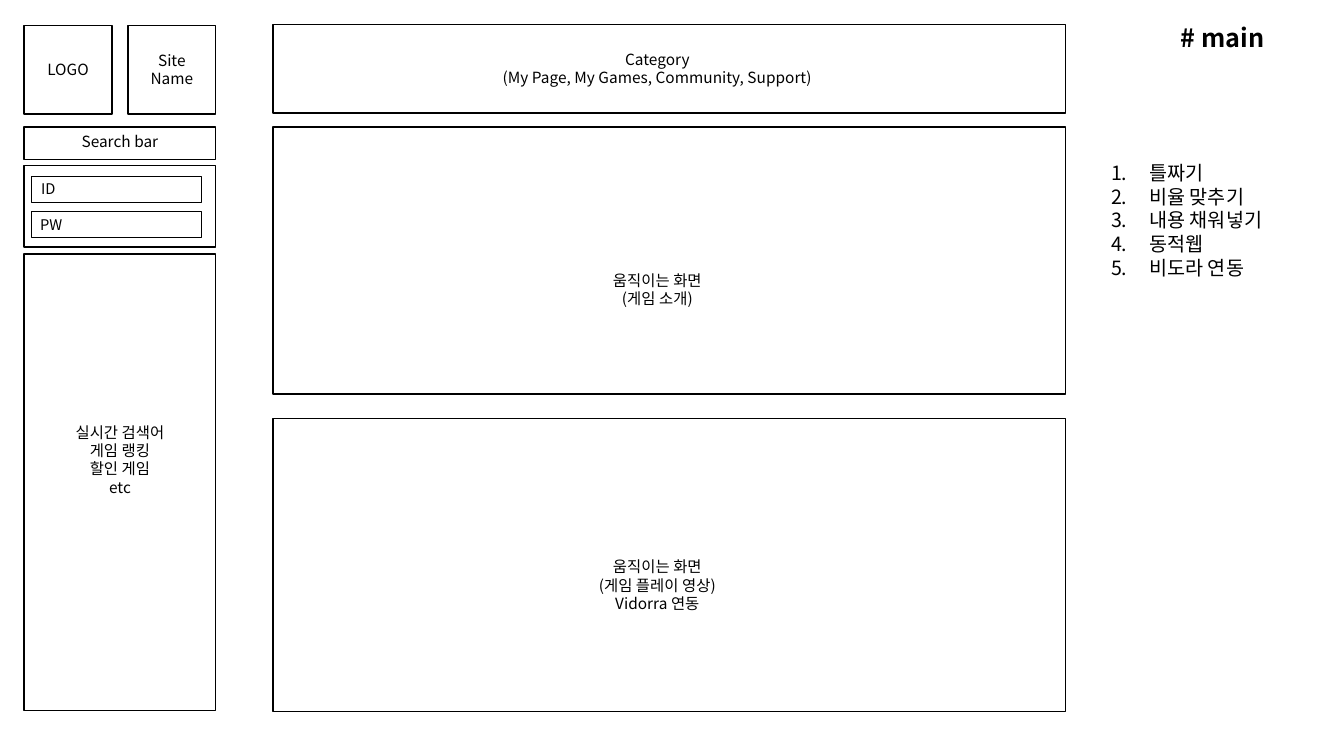
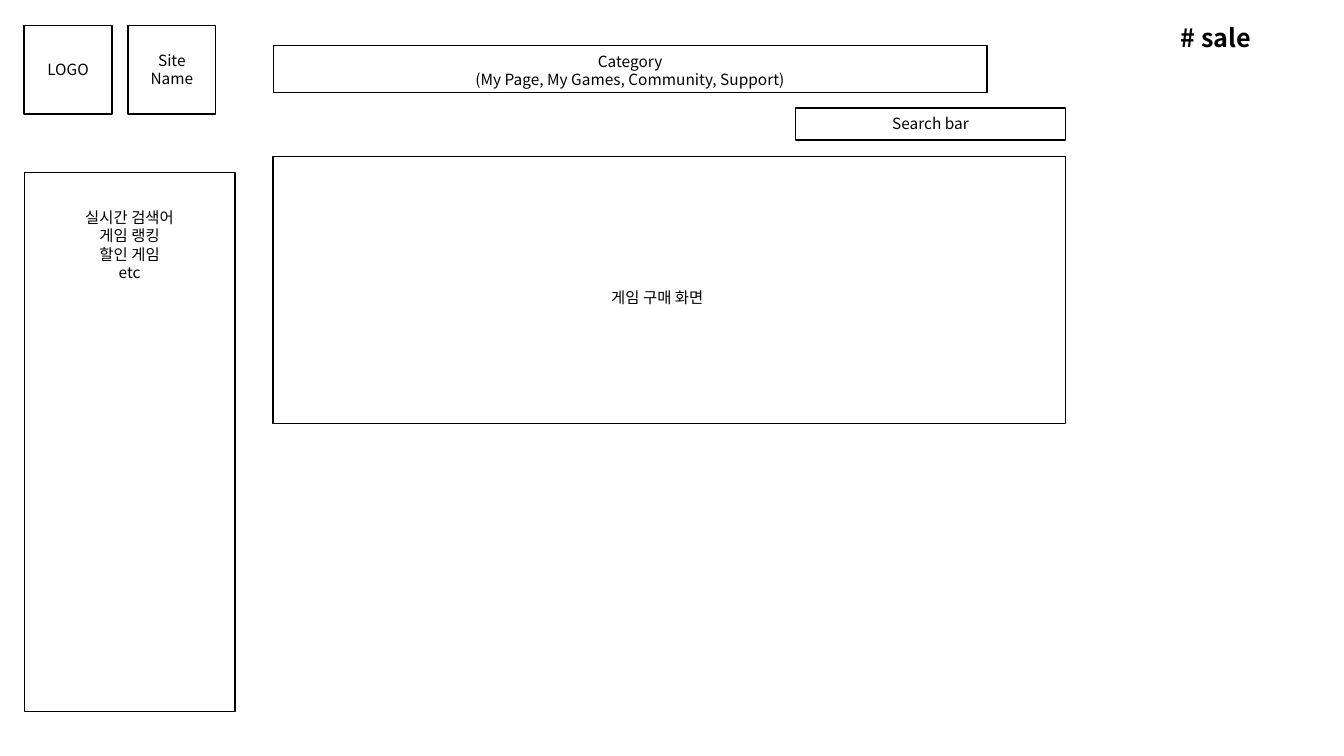
from pptx import Presentation
from pptx.dml.color import RGBColor
from pptx.enum.shapes import MSO_SHAPE as Shape
from pptx.enum.text import MSO_ANCHOR as Anchor, MSO_AUTO_SIZE as Fit, PP_ALIGN as Align
from pptx.oxml.ns import qn
from pptx.util import Emu, Pt
from lxml import etree

PX = 9144  # one hundred px to the inch
FONT = "Noto Sans CJK KR"
INK = "000000"
GAP, LINE = 10, 19  # label padding and line height
LEFT, MAIN, WIDE = 24, 271, 786
MENU = ["Category", "(My Page, My Games, Community, Support)"]
RANKS = ["실시간 검색어", "게임 랭킹", "할인 게임", "etc"]
STEPS = ["틀짜기", "비율 맞추기", "내용 채워넣기", "동적웹", "비도라 연동"]


def color(code):
    return RGBColor.from_string(code)


def apply(item, style):
    for name, value in style.items():
        setattr(item, name, value)


def place(shape, box):
    names = ("left", "top", "width", "height")
    apply(shape, {name: Emu(n * PX) for name, n in zip(names, box)})


def write(shape, lines, size, align=Align.LEFT, anchor=Anchor.TOP, bold=False):
    frame = shape.text_frame
    frame.text = "\n".join(lines)
    apply(frame, {"word_wrap": True, "auto_size": Fit.NONE,
                  "vertical_anchor": anchor})
    for para in frame.paragraphs:
        apply(para, {"alignment": align, "space_before": Pt(0),
                     "line_spacing": 1.0})
        for run in para.runs:
            apply(run.font, {"name": FONT, "size": Pt(size), "bold": bold})
            run.font.color.rgb = color(INK)
            east = etree.SubElement(run._r.get_or_add_rPr(), qn("a:ea"))
            east.set("typeface", FONT)


def frame(slide, box):
    rect = slide.shapes.add_shape(Shape.RECTANGLE, 0, 0, 0, 0)
    place(rect, box)
    rect.shadow.inherit = False
    rect.fill.background()
    rect.line.color.rgb = color(INK)
    rect.line.width = Pt(1)


def panel(slide, box, lines, dx=0, dy=0, size=11, align=Align.CENTER):
    """Frame with a label, shifted by dx and dy from the frame's centre."""
    frame(slide, box)
    x, y, w, h = box
    tall = GAP + LINE * len(lines)
    label = slide.shapes.add_textbox(0, 0, 0, 0)
    place(label, (x + dx, y + (h - tall) // 2 + dy, w, tall))
    write(label, lines, size, align, Anchor.MIDDLE)


def brand(slide, x, y, side=87, step=103):
    for i, name in enumerate(["LOGO", "Site Name"]):
        words = name.split()
        panel(slide, (x + i * step, y, side, side + 1), words)


def login(slide, box):
    frame(slide, box)
    x, y, w, h = box
    for i, name in enumerate(["ID", "PW"]):
        field = (x + 7, y + 11 + 35 * i, w - 21, 26)
        panel(slide, field, [name], dx=-i, size=10.5, align=Align.LEFT)


def steps(slide, box):
    body = slide.placeholders[1]
    place(body, box)
    write(body, STEPS, 14)
    for para in body.text_frame.paragraphs:
        props = para._p.get_or_add_pPr()
        props.set("marL", str(38 * PX))
        props.set("indent", str(-38 * PX))
        num = etree.SubElement(props, qn("a:buAutoNum"))
        num.set("type", "arabicPeriod")


def page(deck, layout, title):
    slide = deck.slides.add_slide(deck.slide_layouts.get_by_name(layout))
    place(slide.shapes.title, (1161, 17, 160, 40))
    write(slide.shapes.title, [title], 18, bold=True)
    brand(slide, LEFT, 25)
    return slide


def home(deck):
    slide = page(deck, "Title and Content", "# main")
    panel(slide, (MAIN, 24, WIDE, 88), MENU, dx=-12)
    panel(slide, (LEFT, 126, 190, 32), ["Search bar"], dy=-1)
    login(slide, (LEFT, 164, 190, 81))
    panel(slide, (LEFT, 252, 190, 453), RANKS, dy=-22)
    panel(slide, (MAIN, 126, WIDE, 265), ["움직이는 화면", "(게임 소개)"],
          dx=-12, dy=29)
    panel(slide, (MAIN, 415, WIDE, 291),
          ["움직이는 화면", "(게임 플레이 영상)", "Vidorra 연동"], dx=-12, dy=20)
    steps(slide, (1092, 155, 207, 128))


def sale(deck):
    slide = page(deck, "Title Only", "# sale")
    panel(slide, (MAIN, 45, 708, 47), MENU, dy=2)
    panel(slide, (789, 107, 268, 32), ["Search bar"])
    panel(slide, (LEFT, 171, 209, 535), RANKS, dy=-195)
    panel(slide, (MAIN, 155, WIDE, 265), ["게임 구매 화면"], dx=-12, dy=7)


def main():
    deck = Presentation()
    apply(deck, {"slide_width": Emu(1333 * PX), "slide_height": Emu(750 * PX)})
    home(deck)
    sale(deck)
    deck.save("out.pptx")


if __name__ == "__main__":
    main()
